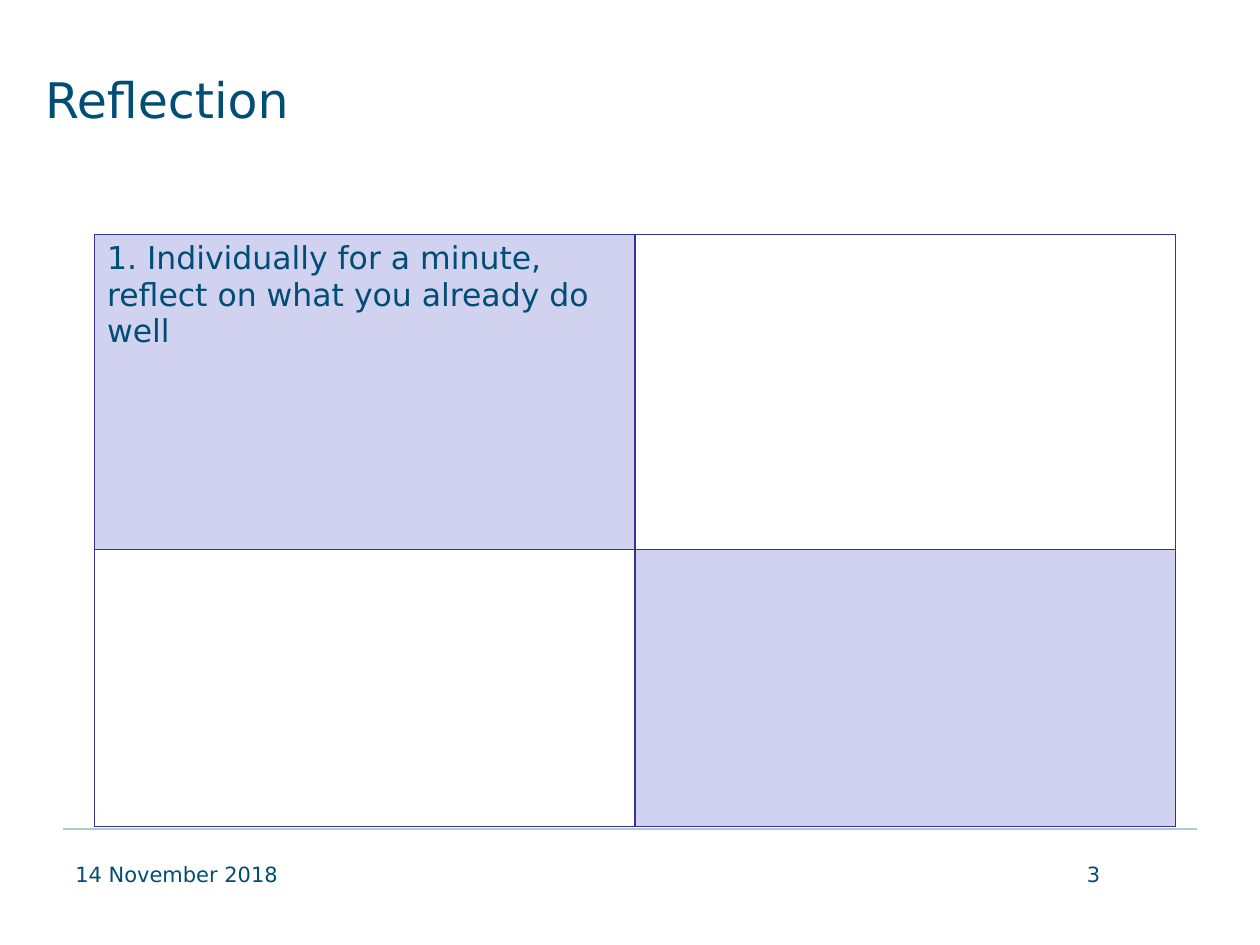
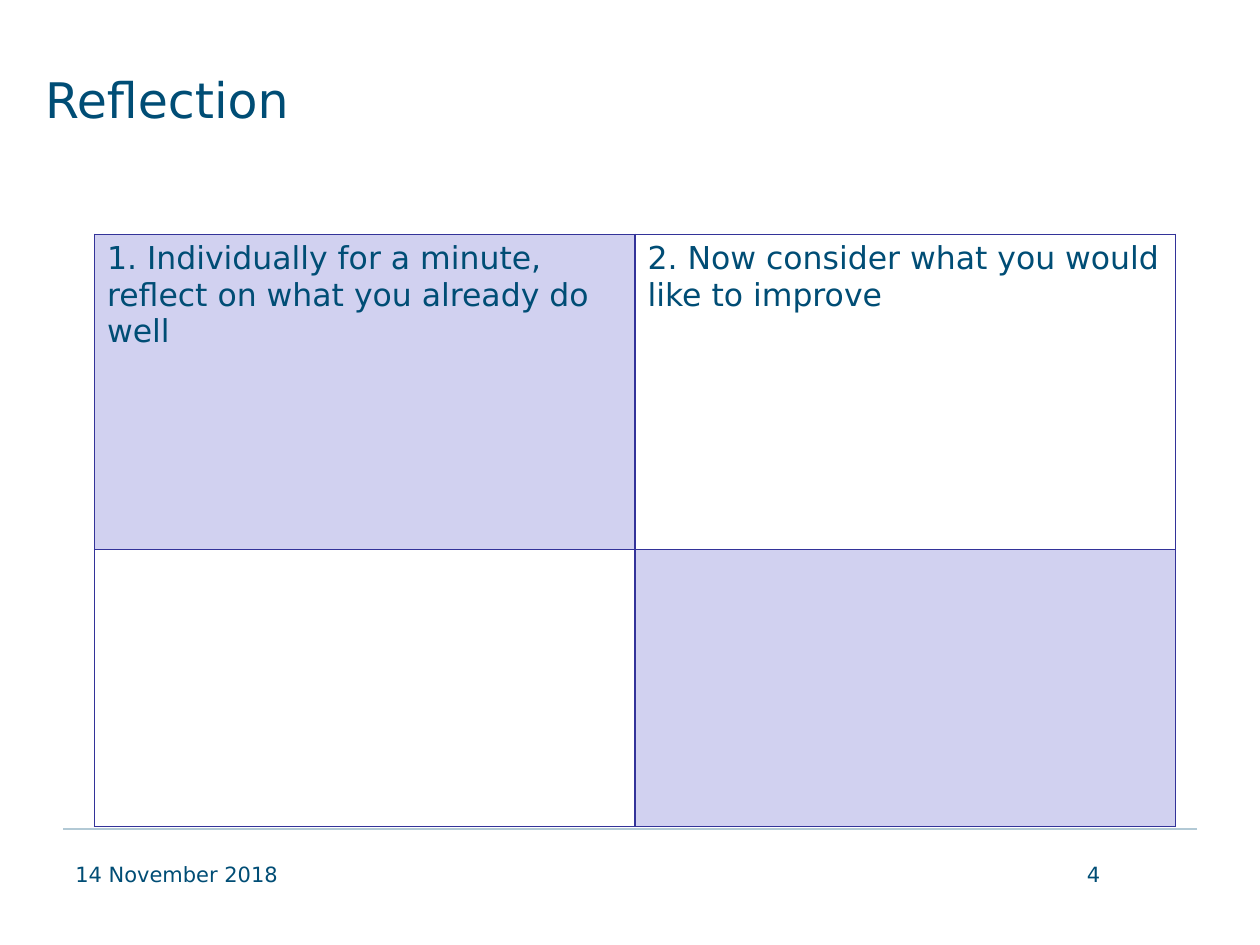
from lxml.etree import SubElement
from pptx import Presentation
from pptx.dml.color import RGBColor
from pptx.enum.shapes import MSO_CONNECTOR
from pptx.enum.text import PP_ALIGN
from pptx.oxml.ns import qn
from pptx.util import Inches, Pt

FONT = "DejaVu Sans"
COLORS = {"text": "004D75", "rule": "B2C9D5", "grid": "333399", "tint": "D1D1F0"}

TITLE = "Reflection"
DATE = "14 November 2018"
WELL = "1. Individually for a minute, reflect on what you already do well"
BETTER = "2. Now consider what you would like to improve"
SLIDES = [
    {"page": 3, "cells": [[WELL, ""], ["", ""]]},
    {"page": 4, "cells": [[WELL, BETTER], ["", ""]]},
]

GRID = (0.75, 1.86)
COLS = [4.29, 4.29]
ROWS = [2.5, 2.2]
FOOT = {"top": 6.79, "width": 2.33, "height": 0.52, "size": 12}


def color(name):
    return RGBColor.from_string(COLORS[name])


def write(frame, text, size=18, align=PP_ALIGN.LEFT):
    frame.word_wrap = True
    para = frame.paragraphs[0]
    para.alignment = align
    run = para.add_run()
    run.text = text
    run.font.name = FONT
    run.font.size = Pt(size)
    run.font.color.rgb = color("text")


def add_text(slide, text, left, top, width, height, **style):
    area = map(Inches, (left, top, width, height))
    write(slide.shapes.add_textbox(*area).text_frame, text, **style)


def add_rule(slide):
    ends = map(Inches, (9.5, 6.58, 0.5, 6.58))
    rule = slide.shapes.add_connector(MSO_CONNECTOR.STRAIGHT, *ends)
    rule.line.color.rgb = color("rule")
    rule.line.width = Pt(1.25)
    SubElement(rule._element.spPr, qn("a:effectLst"))


def add_edges(cell):
    """Draw a thin line on all four sides of a cell."""
    props = cell._tc.get_or_add_tcPr()
    for side in ("lnL", "lnR", "lnT", "lnB"):
        edge = SubElement(props, qn(f"a:{side}"), w=str(Pt(1)))
        fill = SubElement(edge, qn("a:solidFill"))
        SubElement(fill, qn("a:srgbClr"), val=COLORS["grid"])


def add_grid(slide, cells):
    area = map(Inches, (*GRID, sum(COLS), sum(ROWS)))
    table = slide.shapes.add_table(len(ROWS), len(COLS), *area).table
    table.first_row = table.horz_banding = False
    for col, width in zip(table.columns, COLS):
        col.width = Inches(width)
    for r, height in enumerate(ROWS):
        table.rows[r].height = Inches(height)
        for c, text in enumerate(cells[r]):
            cell = table.cell(r, c)
            add_edges(cell)
            if (r + c) % 2 == 0:
                cell.fill.solid()
                cell.fill.fore_color.rgb = color("tint")
            else:
                cell.fill.background()
            if text:
                write(cell.text_frame, text)


def add_slide(deck, page, cells):
    slide = deck.slides.add_slide(deck.slide_layouts[6])
    add_rule(slide)
    add_text(slide, TITLE, 0.26, 0.5, 9.08, 1.17, size=28)
    add_text(slide, DATE, 0.5, **FOOT)
    add_text(slide, str(page), 6.5, **FOOT, align=PP_ALIGN.RIGHT)
    add_grid(slide, cells)


def main():
    deck = Presentation()
    deck.slide_width, deck.slide_height = Inches(10), Inches(7.5)
    for item in SLIDES:
        add_slide(deck, **item)
    deck.save("out.pptx")


if __name__ == "__main__":
    main()
